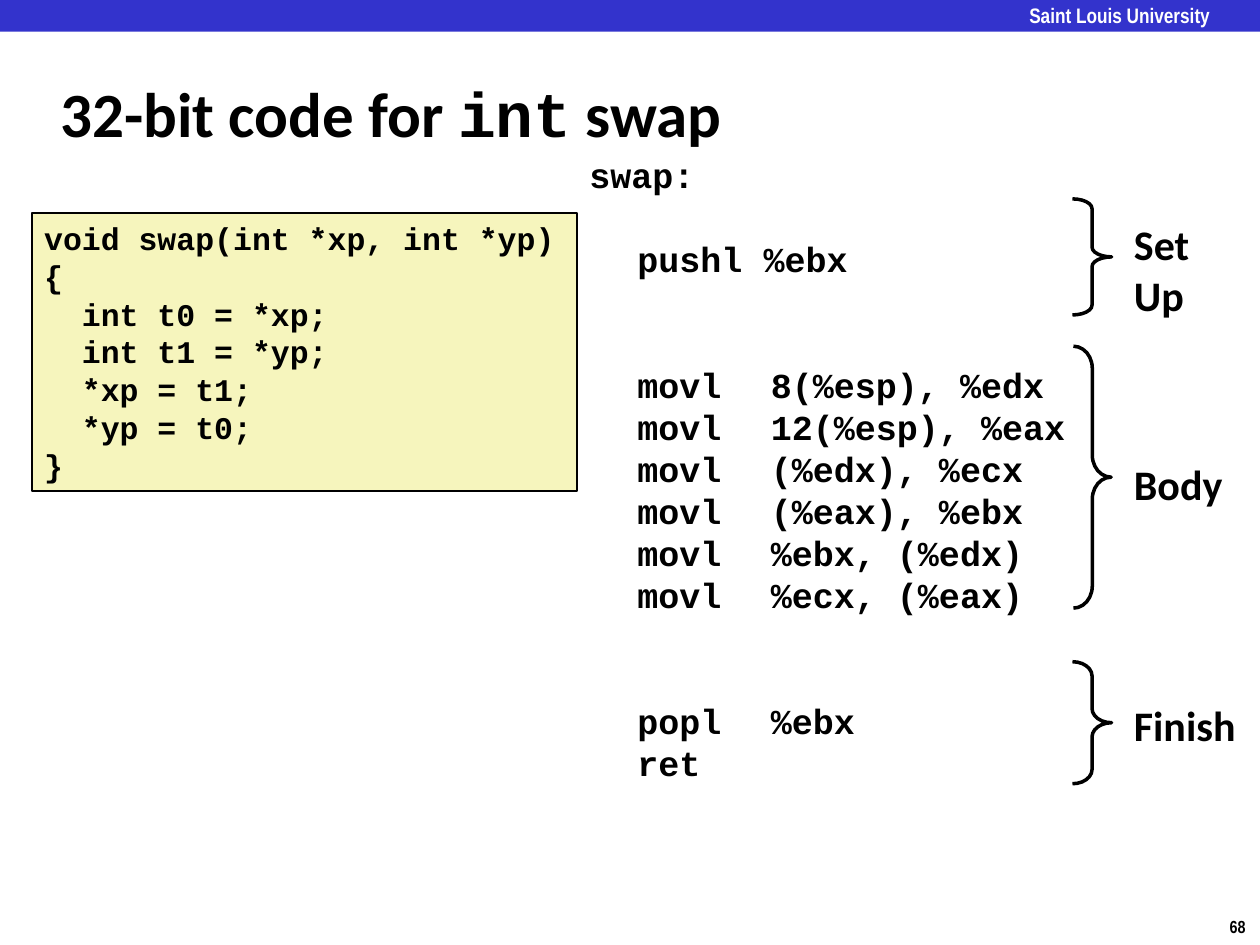
"""Build the slide on 32-bit assembly code for an integer swap."""
from lxml.etree import SubElement
from pptx import Presentation
from pptx.dml.color import RGBColor
from pptx.enum.shapes import MSO_SHAPE
from pptx.enum.text import MSO_ANCHOR
from pptx.oxml.ns import qn
from pptx.util import Cm, Pt

BLACK = RGBColor(0x00, 0x00, 0x00)
WHITE = RGBColor(0xFF, 0xFF, 0xFF)
BANNER_BLUE = RGBColor(0x33, 0x33, 0xCC)
CODE_YELLOW = RGBColor(0xF6, 0xF5, 0xBD)

BODY, CODE, SMALL = "Calibri", "Courier New", "Arial Narrow"

SWAP_C = """void swap(int *xp, int *yp)
{
  int t0 = *xp;
  int t1 = *yp;
  *xp = t1;
  *yp = t0;
}"""

ASSEMBLY = [
    (0, ["swap:"]),
    (1, ["\tpushl %ebx"]),
    (2, ["\tmovl\t8(%esp), %edx", "\tmovl\t12(%esp), %eax",
         "\tmovl\t(%edx), %ecx", "\tmovl\t(%eax), %ebx",
         "\tmovl\t%ebx, (%edx)", "\tmovl\t%ecx, (%eax)"]),
    (2, ["\tpopl\t%ebx", "\tret"]),
]

STAGES = [
    (["Set", "Up"], 4.29, (21.62, 4.01, 0.79, 2.34), 0.25),
    (["Body"], 9.12, (21.64, 6.98, 0.76, 5.28), 0.585),
    (["Finish"], 13.97, (21.62, 13.34, 0.79, 2.46), 0.362),
]


class SlideBuilder:
    """Hold the style and the current slide."""

    def __init__(self, slide):
        self.slide = slide
        self.ink = BLACK
        self.line_factor = 1.2

    def styled_run(self, paragraph, text, size, font, color=None):
        run = paragraph.add_run()
        run.text = text
        style = {"size": Pt(size), "name": font, "bold": True}
        for attribute, value in style.items():
            setattr(run.font, attribute, value)
        run.font.color.rgb = color or self.ink

    def paragraphs(self, frame, count):
        return [frame.paragraphs[0]] + [frame.add_paragraph() for _ in range(count - 1)]

    def text(self, box, lines, size, font, color=None, **frame_format):
        frame = self.slide.shapes.add_textbox(*map(Cm, box)).text_frame
        for attribute, value in frame_format.items():
            setattr(frame, attribute, value)
        for paragraph, runs in zip(self.paragraphs(frame, len(lines)), lines):
            for text, face in runs if isinstance(runs, list) else [(runs, font)]:
                self.styled_run(paragraph, text, size, face, color)
        return frame

    def panel(self, box, fill, outline=None):
        panel = self.slide.shapes.add_shape(MSO_SHAPE.RECTANGLE, *map(Cm, box))
        panel.shadow.inherit = False
        panel.fill.solid()
        panel.fill.fore_color.rgb = fill
        if outline is None:
            panel.line.fill.background()
        else:
            panel.line.color.rgb = outline
            panel.line.width = Pt(1)
        return panel

    def code(self, frame, blocks, size, stops):
        frame.word_wrap = True
        frame.vertical_anchor = MSO_ANCHOR.TOP
        pitch = size * self.line_factor
        rows = [(line, gap if index == 0 else 0)
                for gap, lines in blocks for index, line in enumerate(lines)]
        for paragraph, (line, gap) in zip(self.paragraphs(frame, len(rows)), rows):
            properties = paragraph._p.get_or_add_pPr()
            properties.set("algn", "l")
            tabs = SubElement(properties, qn("a:tabLst"))
            for stop in stops:
                SubElement(tabs, qn("a:tab"), pos=str(Cm(stop)), algn="l")
            paragraph.line_spacing = Pt(pitch)
            if gap:
                paragraph.space_before = Pt(gap * pitch)
            self.styled_run(paragraph, line, size, CODE)

    def brace(self, box, curve):
        brace = self.slide.shapes.add_shape(MSO_SHAPE.RIGHT_BRACE, *map(Cm, box))
        brace.shadow.inherit = False
        brace.fill.background()
        brace.line.color.rgb = self.ink
        brace.line.width = Pt(2)
        brace.adjustments[0] = curve


def main():
    presentation = Presentation()
    presentation.slide_width, presentation.slide_height = Cm(25.4), Cm(19.05)
    builder = SlideBuilder(presentation.slides.add_slide(presentation.slide_layouts[6]))

    builder.text((24.54, 18.34, 0.86, 0.69), ["68"], 10, SMALL, word_wrap=False)
    builder.panel((0, 0, 25.4, 0.64), BANNER_BLUE)
    builder.text((20.75, 0.05, 4.24, 0.48), ["Saint Louis University"], 12, SMALL, WHITE,
                 word_wrap=True, margin_left=0, margin_right=0, margin_top=0, margin_bottom=0)
    title = [("32-bit code for ", BODY), ("int", CODE), (" swap", BODY)]
    builder.text((0.97, 1.47, 21.29, 1.6), [title], 36, BODY,
                 word_wrap=True, vertical_anchor=MSO_ANCHOR.MIDDLE)

    source = builder.panel((0.64, 4.29, 11, 5.61), CODE_YELLOW, BLACK)
    builder.code(source.text_frame, [(0, SWAP_C.splitlines())], 18, (1.27, 4.11))

    for label, label_top, brace_box, curve in STAGES:
        builder.brace(brace_box, curve)
        builder.text((22.61, label_top, 2.6, 1.27 * len(label)), label, 24, BODY,
                     word_wrap=False)

    assembly = builder.text((11.63, 2.97, 11.63, 13.08), [], 20, CODE)
    builder.code(assembly, ASSEMBLY, 20, (0.97, 3.66))

    presentation.save("out.pptx")


if __name__ == "__main__":
    main()
